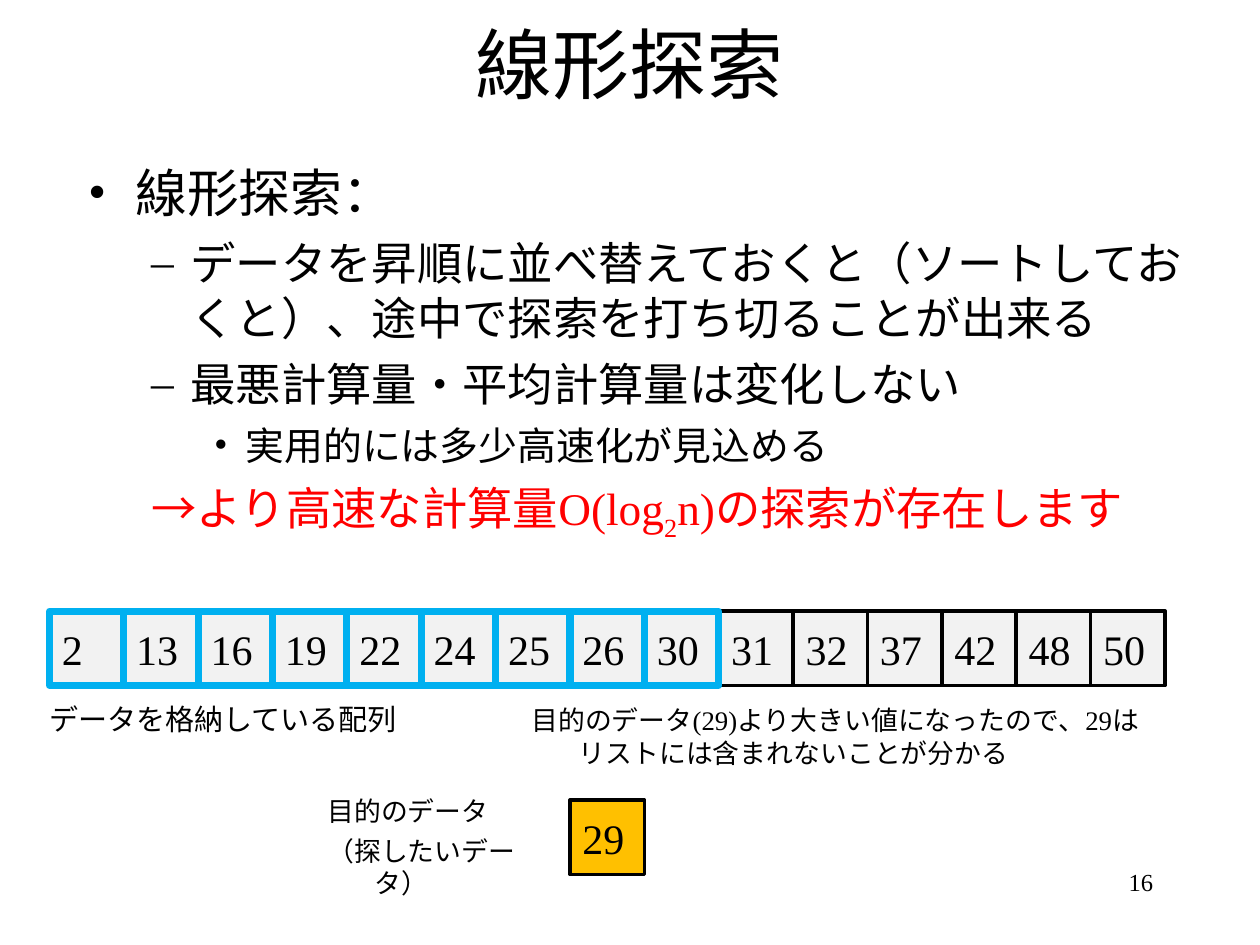
from lxml.etree import SubElement
from pptx import Presentation
from pptx.dml.color import RGBColor
from pptx.enum.shapes import MSO_SHAPE
from pptx.enum.text import MSO_ANCHOR, PP_ALIGN
from pptx.oxml.ns import qn
from pptx.util import Pt

FONT = "Times New Roman"
CELL = 42.5
ARRAY_LEFT, ARRAY_TOP = 28.25, 349.2
VALUES = [2, 13, 16, 19, 22, 24, 25, 26, 30, 31, 32, 37, 42, 48, 50]
VISITED = 9
TARGET = 29
BODY = [
    (0, "•", ["線形探索："]),
    (1, "–", ["データを昇順に並べ替えておくと（ソートしておくと）、途中で探索を打ち切ることが出来る"]),
    (1, "–", ["最悪計算量・平均計算量は変化しない"]),
    (2, "•", ["実用的には多少高速化が見込める"]),
    (1, None, ["→より高速な計算量O(log", "2", "n)の探索が存在します"]),
]
LEVELS = [(27, 27, 29.6, 8), (58.5, 22.5, 25.9, 7), (90, 18, 22.2, 6)]


def color(value):
    return RGBColor.from_string(value)


def style(para, size, ink="000000"):
    para.font.name = FONT
    para.font.size = Pt(size)
    para.font.color.rgb = color(ink)


def indent(para, margin, hanging, bullet=None):
    properties = para._p.get_or_add_pPr()
    properties.set("marL", str(Pt(margin)))
    properties.set("indent", str(-Pt(hanging)))
    if bullet:
        SubElement(properties, qn("a:buFont"), typeface=FONT)
        SubElement(properties, qn("a:buChar"), char=bullet)


def add_text_box(page, left, top, width, height):
    box = page.shapes.add_textbox(Pt(left), Pt(top), Pt(width), Pt(height))
    box.text_frame.word_wrap = True
    return box.text_frame


def paragraph_at(frame, index):
    return frame.add_paragraph() if index else frame.paragraphs[0]


def add_title(page, text, left, top, width, height):
    title = page.shapes.title
    title.left, title.top = Pt(left), Pt(top)
    title.width, title.height = Pt(width), Pt(height)
    title.text_frame.text = text
    title.text_frame.vertical_anchor = MSO_ANCHOR.MIDDLE
    para = title.text_frame.paragraphs[0]
    para.alignment = PP_ALIGN.CENTER
    style(para, 44)


def add_body(page, left, top, width, height):
    frame = add_text_box(page, left, top, width, height)
    for index, (level, bullet, pieces) in enumerate(BODY):
        para = paragraph_at(frame, index)
        margin, hanging, size, space = LEVELS[level]
        para.level = level
        indent(para, margin, hanging, bullet)
        if index:
            para.space_before = Pt(space)
        style(para, size, "000000" if bullet else "FF0000")
        for position, piece in enumerate(pieces):
            span = para.add_run()
            span.text = piece
            if position == 1:
                span._r.get_or_add_rPr().set("baseline", "-25000")


def add_label(page, lines, size, left, top, width, height):
    frame = add_text_box(page, left, top, width, height)
    for index, line in enumerate(lines):
        para = paragraph_at(frame, index)
        indent(para, 27, 27)
        if index:
            para.space_before = Pt(4.5)
        para.text = line
        style(para, size)


def add_square(page, left, top, fill, line, weight):
    square = page.shapes.add_shape(MSO_SHAPE.RECTANGLE, Pt(left), Pt(top), Pt(CELL), Pt(CELL))
    square.shadow.inherit = False
    if fill:
        square.fill.solid()
        square.fill.fore_color.rgb = color(fill)
    else:
        square.fill.background()
    square.line.color.rgb = color(line)
    square.line.width = Pt(weight)
    return square


def add_cell(page, value, left, top, fill):
    frame = add_square(page, left, top, fill, "000000", 2).text_frame
    frame.word_wrap = False
    frame.vertical_anchor = MSO_ANCHOR.MIDDLE
    para = frame.paragraphs[0]
    para.text = str(value)
    para.alignment = PP_ALIGN.LEFT
    style(para, 24)


def add_array(page, left, top):
    for index, value in enumerate(VALUES):
        add_cell(page, value, left + index * CELL, top, "F2F2F2")
    for index in range(VISITED):
        add_square(page, left + index * CELL, top, None, "00B0F0", 4)


def add_page_number(page, number, left, top, width, height):
    para = add_text_box(page, left, top, width, height).paragraphs[0]
    para.text = str(number)
    para.alignment = PP_ALIGN.RIGHT
    style(para, 14)


def main():
    deck = Presentation()
    deck.slide_width, deck.slide_height = Pt(720), Pt(540)
    page = deck.slides.add_slide(deck.slide_layouts[5])
    add_page_number(page, 16, 516, 492, 150, 36)
    add_title(page, "線形探索", 54, 0, 612, 72)
    add_body(page, 43.2, 88.5, 651.6, 249)
    add_array(page, ARRAY_LEFT, ARRAY_TOP)
    add_cell(page, TARGET, ARRAY_LEFT + 7 * CELL, 457.2, "FFC000")
    add_label(page, ["データを格納している配列"], 16.6, 21, 397.5, 229, 33)
    add_label(page, ["目的のデータ", "（探したいデータ）"], 15.3, 180, 450.7, 150, 55.5)
    add_label(page, ["目的のデータ(29)より大きい値になったので、29はリストには含まれないことが分かる"],
              15.3, 296.6, 398.9, 369.4, 52)
    deck.save("out.pptx")


if __name__ == "__main__":
    main()
